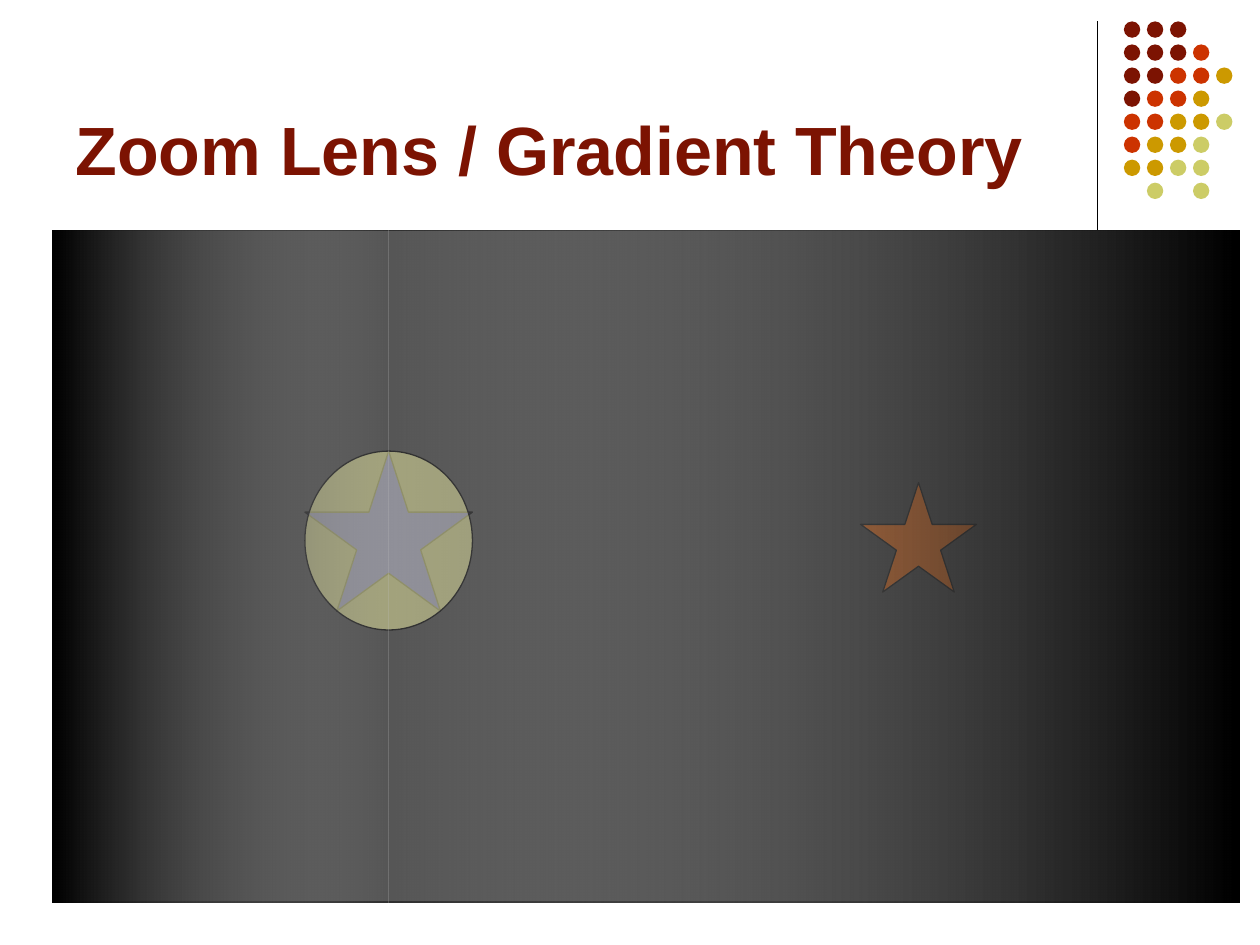
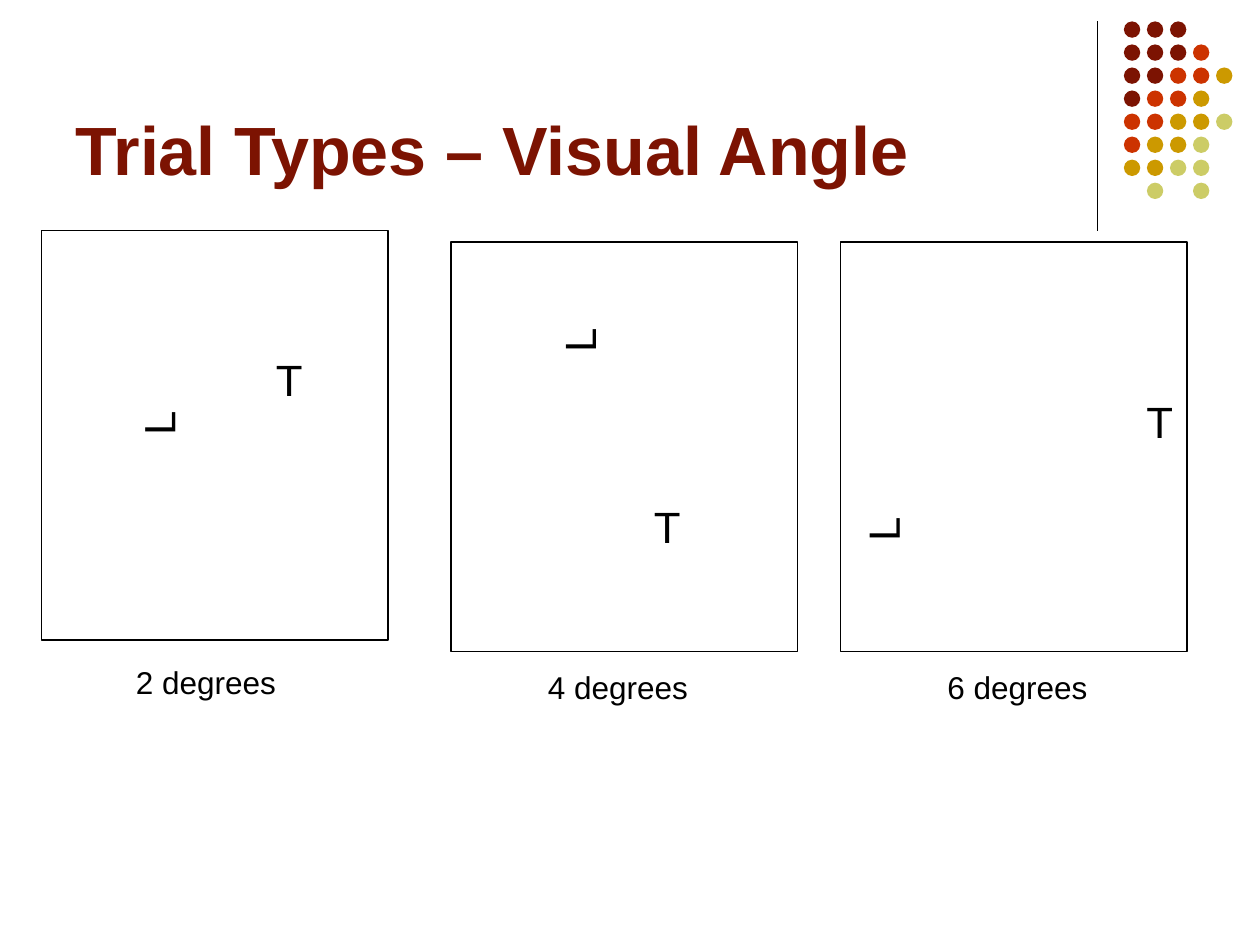
import pptx
import pptx.dml.color
import pptx.enum.shapes
import pptx.enum.text
import pptx.oxml.ns
import pptx.util
from lxml import etree

Inches, Pt = pptx.util.Inches, pptx.util.Pt
Shape = pptx.enum.shapes.MSO_SHAPE
Text = pptx.enum.text
qn = pptx.oxml.ns.qn

# Shared style
HUES = {
    "black": "000000", "maroon": "7C1302", "red": "CC3300", "gold": "CC9900",
    "lime": "CCCC66", "slate": "333333", "navy": "000080", "orange": "FF6600",
    "cream": "FFFF99", "grey": "C0C0C0",
}
FONT = "Arial"
THIN = Pt(0.75)
PADS = {"margin_left": Inches(0.1), "margin_right": Inches(0.1),
        "margin_top": Inches(0.05), "margin_bottom": Inches(0.05)}
TITLE = {"left": 0.5, "top": 0.13, "width": 8.25, "height": 1.42}

# Corner dots: one letter per dot, a space where there is none
DOTS = ["MMM", "MMMR", "MMRRG", "MRRG", "RRGGL", "RGGL", "GGLL", " L L"]
KEYS = {"M": "maroon", "R": "red", "G": "gold", "L": "lime"}
DOT_X, DOT_Y, DOT = 8.92, 0.17, 0.13
STEP = 1.28 / 7  # distance between dots, both ways

# Dark field on the first slide, split at the centre of the lens
LEFT, TOP, WIDE, HIGH = 0.42, 1.83, 9.42, 5.33
SPLIT = 3.08

# Sizes on the second slide
PANEL = (2.75, 3.25)
ELL, TEE, NOTE = (0.39, 0.52), (0.41, 0.52), (1.31, 0.4)


def assign(item, form):
    """Set every attribute of item that the dict form names."""
    for key, val in form.items():
        setattr(item, key, val)


class Deck:
    """Holds the presentation, its style and the current slide."""

    def __init__(self):
        self.prs = pptx.Presentation()
        self.prs.slide_width, self.prs.slide_height = Inches(10), Inches(7.5)
        self.slide = None

    def paint(self, color, name):
        color.rgb = pptx.dml.color.RGBColor.from_string(HUES[name])

    def fade(self, item, name, alpha):
        """Give the fill colour called name an opacity in percent."""
        for node in item.element.spPr.iter(qn("a:srgbClr")):
            if node.get("val") == HUES[name]:
                etree.SubElement(node, qn("a:alpha")).set("val", str(alpha * 1000))

    def style(self, frame, size, hue="black", bold=False, **form):
        """Format a text frame and its only paragraph."""
        assign(frame, {**PADS, **form})
        para = frame.paragraphs[0]
        para.alignment = Text.PP_ALIGN.LEFT
        font = para.runs[0].font
        assign(font, {"name": FONT, "size": Pt(size), "bold": bold})
        self.paint(font.color, hue)

    def shape(self, kind, box, fill=None, line=None):
        """Add a preset shape; no fill or line unless one is named."""
        item = self.slide.shapes.add_shape(kind, *map(Inches, box))
        item.shadow.inherit = False
        if fill:
            item.fill.solid()
            self.paint(item.fill.fore_color, fill)
        else:
            item.fill.background()
        if line:
            item.line.width = THIN
            self.paint(item.line.color, line)
        else:
            item.line.fill.background()
        return item

    def shade(self, box, right, left):
        """Add a rectangle that blends between its right and left hues."""
        item = self.shape(Shape.RECTANGLE, box)
        item.fill.gradient()
        item.fill.gradient_angle = 180
        for stop, name in zip(item.fill.gradient_stops, (right, left)):
            self.paint(stop.color, name)
        self.fade(item, "grey", 25)

    def rule(self, x, top, end):
        """Add a thin upright line."""
        kind = pptx.enum.shapes.MSO_CONNECTOR.STRAIGHT
        ends = map(Inches, (x, top, x, end))
        item = self.slide.shapes.add_connector(kind, *ends)
        item.line.width = THIN
        self.paint(item.line.color, "black")
        etree.SubElement(item.element.spPr, qn("a:effectLst"))

    def dots(self):
        for row, keys in enumerate(DOTS):
            for col, key in enumerate(keys):
                if key in KEYS:
                    x, y = DOT_X + col * STEP, DOT_Y + row * STEP
                    self.shape(Shape.OVAL, (x, y, DOT, DOT), KEYS[key])

    def label(self, text, spot, area, size, turn=0):
        """Add a text box of the given area with its corner at spot."""
        item = self.slide.shapes.add_textbox(*map(Inches, (*spot, *area)))
        item.rotation = turn
        item.text_frame.text = text
        self.style(item.text_frame, size, word_wrap=False,
                   auto_size=Text.MSO_AUTO_SIZE.SHAPE_TO_FIT_TEXT)

    def title(self, text):
        head = self.slide.shapes.title
        assign(head, {key: Inches(val) for key, val in TITLE.items()})
        head.text_frame.text = text
        self.style(head.text_frame, 39, "maroon", True, word_wrap=True,
                   auto_size=Text.MSO_AUTO_SIZE.NONE,
                   vertical_anchor=Text.MSO_ANCHOR.BOTTOM)

    def open(self, text):
        """Start a slide with the shared rule, dots and title."""
        self.slide = self.prs.slides.add_slide(self.prs.slide_layouts[5])
        self.rule(8.71, 0.17, 1.83)
        self.dots()
        self.title(text)


def zoom(deck):
    deck.open("Zoom Lens / Gradient Theory")

    # Dark field with two stars, the first one under the lens
    deck.shape(Shape.RECTANGLE, (LEFT, TOP, WIDE, HIGH), "slate", "black")
    for hue, box in (("navy", (2.42, 3.58, 1.33, 1.27)),
                     ("orange", (6.83, 3.83, 0.92, 0.87))):
        deck.shape(Shape.STAR_5_POINT, box, hue, "black")
    lens = deck.shape(Shape.OVAL, (2.42, 3.58, 1.33, 1.42), "cream", "black")
    deck.fade(lens, "cream", 50)

    # Light falling off to both sides of the lens
    near = SPLIT - LEFT
    deck.shade((SPLIT, TOP, WIDE - near, HIGH), right="black", left="grey")
    deck.shade((LEFT, TOP, near, HIGH), right="grey", left="black")


def trials(deck):
    deck.open("Trial Types – Visual Angle")

    # Degrees, then the corners of the panel, the turned L, the T and the note
    panels = [
        (2, (0.33, 1.83), (1.06, 3.1), (2.09, 2.75), (0.98, 5.21)),
        (4, (3.58, 1.92), (4.4, 2.44), (5.09, 3.92), (4.25, 5.25)),
        (6, (6.67, 1.92), (6.81, 3.94), (9, 3.08), (7.42, 5.25)),
    ]
    for angle, panel, ell, tee, note in panels:
        deck.shape(Shape.RECTANGLE, (*panel, *PANEL), line="black")
        deck.label("L", ell, ELL, 25, turn=270)
        deck.label("T", tee, TEE, 25)
        deck.label(f"{angle} degrees", note, NOTE, 18)


def main():
    deck = Deck()
    zoom(deck)
    trials(deck)
    deck.prs.save("out.pptx")


if __name__ == "__main__":
    main()
